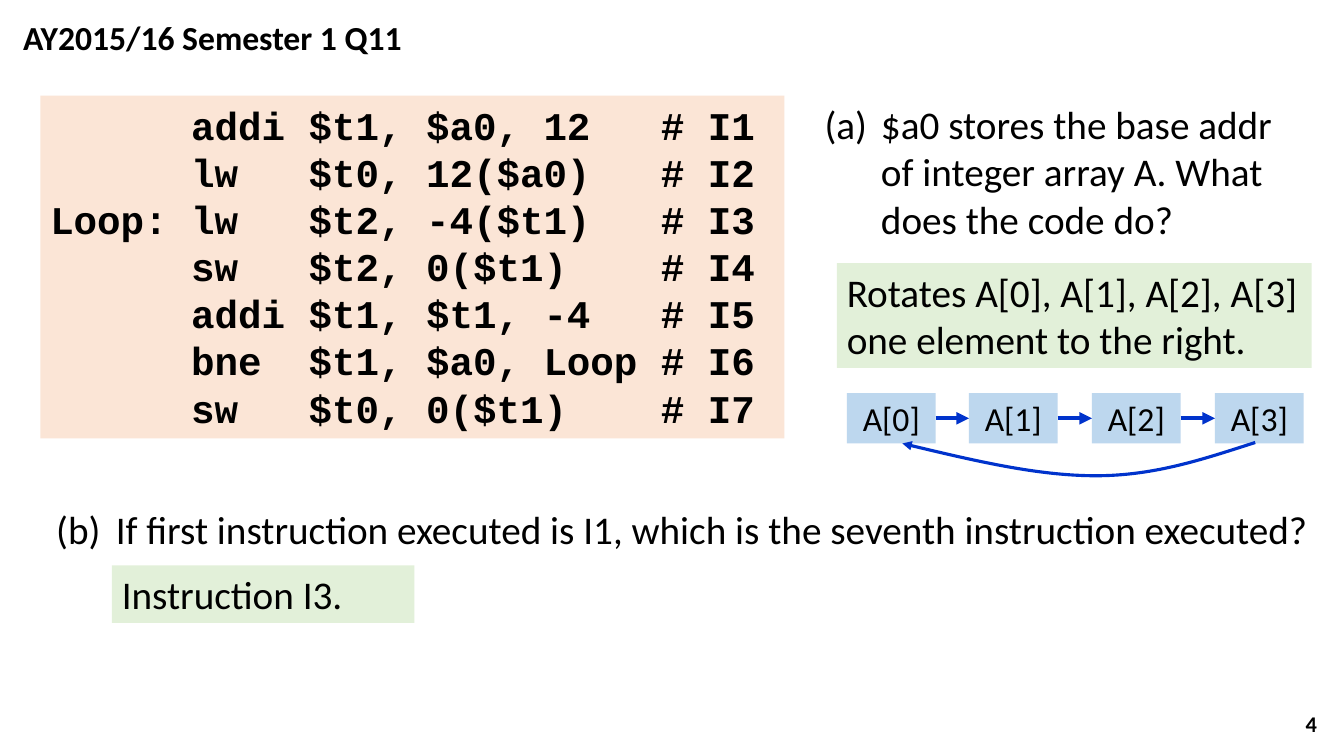
from itertools import pairwise

from lxml.etree import SubElement
from pptx import Presentation
from pptx.dml.color import RGBColor
from pptx.enum.shapes import MSO_CONNECTOR, MSO_SHAPE
from pptx.enum.text import MSO_ANCHOR, MSO_AUTO_SIZE, PP_ALIGN
from pptx.oxml.ns import qn
from pptx.util import Pt

PX = 9144  # 100 px to the inch
COLORS = {
    "ink": "000000",
    "code": "FBE5D6",
    "answer": "E2F0D9",
    "cell": "BDD7EE",
    "arrow": "0033CC",
}

deck = Presentation()
deck.slide_width, deck.slide_height = 1333 * PX, 750 * PX
slide = deck.slides.add_slide(deck.slide_layouts[6])
shapes = slide.shapes


def block(area, lines, size=28, fill=None, bold=False, font="Calibri",
          align=PP_ALIGN.LEFT, hang=0):
    """Add a text box, or a filled rectangle, with one paragraph per line."""
    area = [n * PX for n in area]
    if fill:
        shape = shapes.add_shape(MSO_SHAPE.RECTANGLE, *area)
        shape.shadow.inherit = False
        shape.fill.solid()
        shape.fill.fore_color.rgb = RGBColor.from_string(COLORS[fill])
        shape.line.fill.background()
    else:
        shape = shapes.add_textbox(*area)
    frame = shape.text_frame
    frame.word_wrap = True
    frame.auto_size = MSO_AUTO_SIZE.SHAPE_TO_FIT_TEXT
    frame.vertical_anchor = MSO_ANCHOR.TOP
    for i, line in enumerate(lines):
        para = frame.add_paragraph() if i else frame.paragraphs[0]
        para.alignment = align
        if hang:
            props = para._p.get_or_add_pPr()
            props.set("marL", str(hang * PX))
            props.set("indent", str(-hang * PX))
        run = para.add_run()
        run.text = line
        run.font.name = font
        run.font.size = Pt(size)
        run.font.bold = bold
        run.font.color.rgb = RGBColor.from_string(COLORS["ink"])
    return shape


def arrow(shape, width):
    """Style a line as a blue arrow without a shadow."""
    shape.line.color.rgb = RGBColor.from_string(COLORS["arrow"])
    shape.line.width = Pt(width)
    props = shape._element.spPr
    SubElement(props.find(qn("a:ln")), qn("a:tailEnd"), type="triangle")
    if props.find(qn("a:effectLst")) is None:
        SubElement(props, qn("a:effectLst"))


# Title and page number
block((13, 12, 408, 50), ["AY2015/16 Semester 1 Q11"], size=24, bold=True)
page = block((1016, 698, 300, 40), ["4"], size=16, bold=True, align=PP_ALIGN.RIGHT)
page.text_frame.auto_size = MSO_AUTO_SIZE.NONE
page.text_frame.vertical_anchor = MSO_ANCHOR.MIDDLE

# Program listing
steps = [
    ("", "addi", "$t1, $a0, 12"),
    ("", "lw", "$t0, 12($a0)"),
    ("Loop:", "lw", "$t2, -4($t1)"),
    ("", "sw", "$t2, 0($t1)"),
    ("", "addi", "$t1, $t1, -4"),
    ("", "bne", "$t1, $a0, Loop"),
    ("", "sw", "$t0, 0($t1)"),
]
code = [f"{label:<6}{op:<5}{args:<15}# I{n}"
        for n, (label, op, args) in enumerate(steps, 1)]
listing = block((40, 95, 738, 340), code, fill="code", bold=True, font="Courier New")
for para in listing.text_frame.paragraphs:
    para.line_spacing = Pt(33.7)

# Part (a)
ask = block((808, 95, 484, 151),
            ["$a0 stores the base addr of integer array A. What does the code do?"],
            hang=56)
SubElement(ask.text_frame.paragraphs[0]._p.pPr, qn("a:buAutoNum"),
           type="alphaLcParenBoth")
block((830, 261, 471, 104),
      ["Rotates A[0], A[1], A[2], A[3] one element to the right."], fill="answer")

# Array cells with arrows to the right
cells = [block((840 + 365 * i // 3, 390, 88, 50), [f"A[{i}]"], size=24,
               fill="cell", align=PP_ALIGN.CENTER) for i in range(4)]
for left, right in pairwise(cells):
    link = shapes.add_connector(MSO_CONNECTOR.STRAIGHT, 0, 0, 0, 0)
    link.begin_connect(left, 3)
    link.end_connect(right, 1)
    arrow(link, 3)

# Curve from the last cell back to the first: two Bezier segments
pen = shapes.build_freeform(1245, 439, scale=PX)
pen.add_line_segments([(1195, 455), (1146, 472), (1087, 472),
                       (1029, 472), (962, 456), (895, 440)], close=False)
curve = pen.convert_to_shape()
curve.fill.background()
curve.shadow.inherit = False
route = curve._element.find(".//" + qn("a:path"))
knots = route.findall(qn("a:lnTo"))
for start in range(0, len(knots), 3):
    bend = SubElement(route, qn("a:cubicBezTo"))
    for knot in knots[start:start + 3]:
        bend.append(knot[0])
        route.remove(knot)
arrow(curve, 2.25)

# Part (b)
block((46, 496, 1270, 57),
      ["(b)\tIf first instruction executed is I1, which is the seventh instruction executed?"],
      hang=59)
block((111, 561, 300, 57), ["Instruction I3."], fill="answer")

deck.save("out.pptx")
